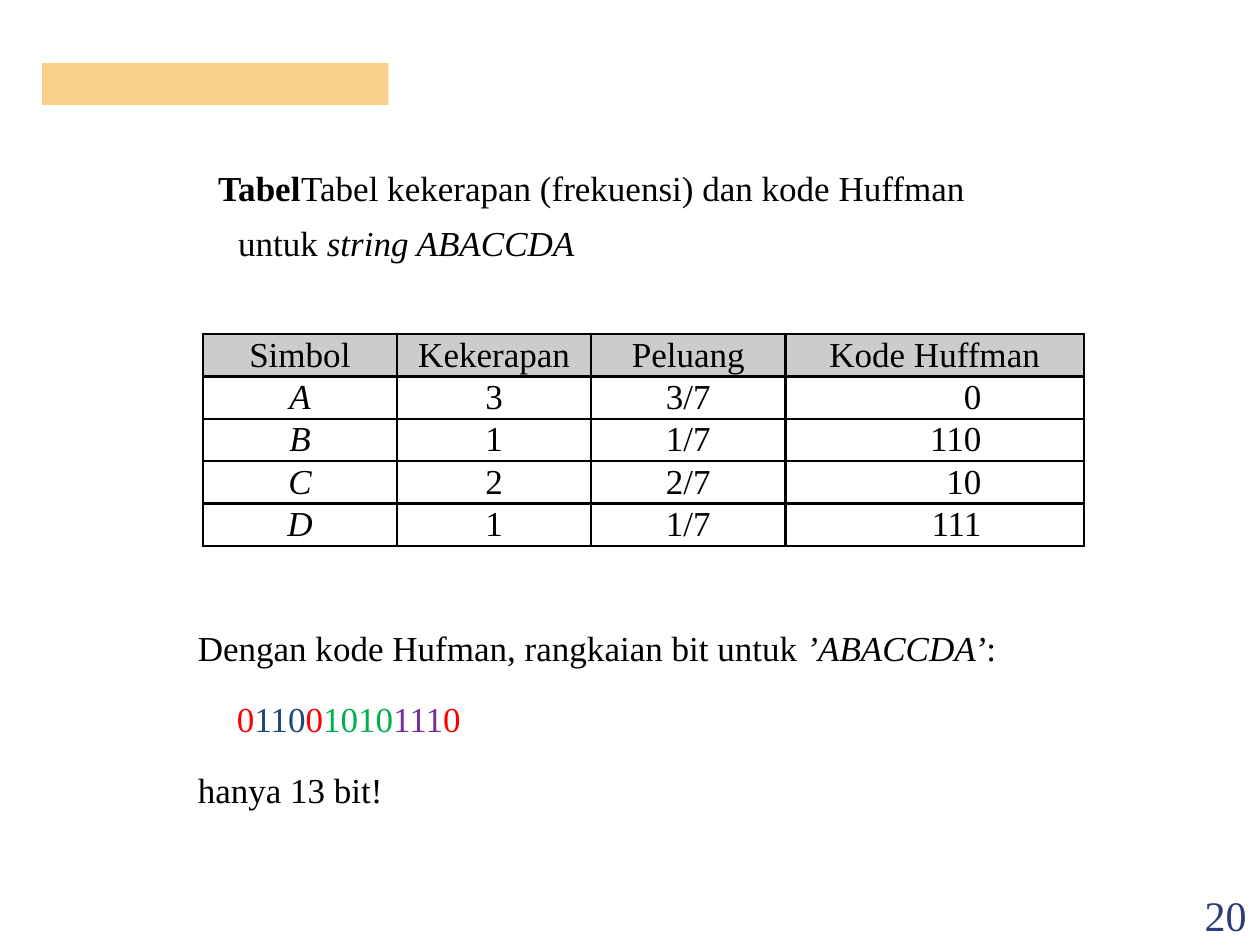
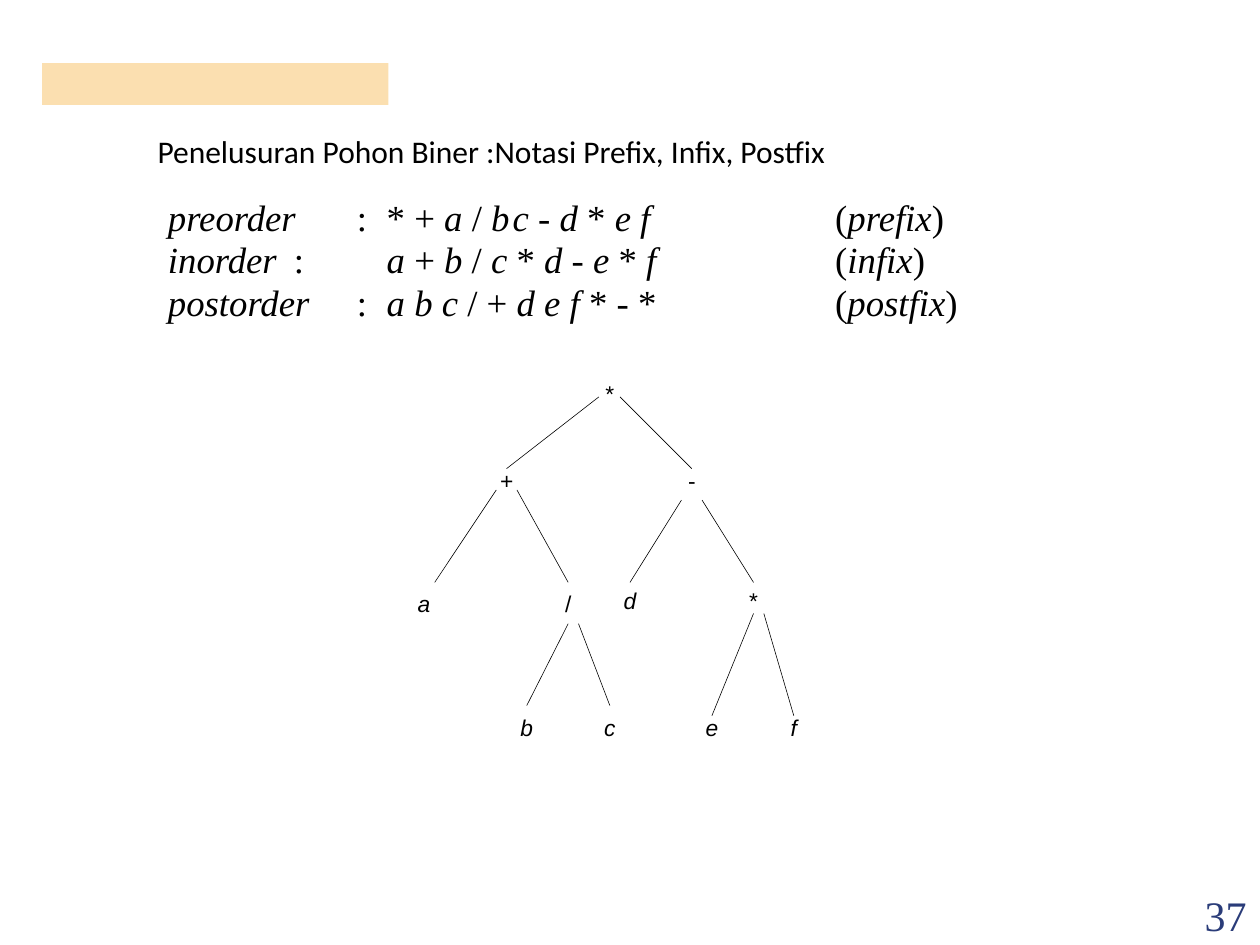
from pptx import Presentation
from pptx.dml.color import RGBColor
from pptx.enum.shapes import MSO_CONNECTOR, MSO_SHAPE
from pptx.enum.text import MSO_ANCHOR, MSO_AUTO_SIZE, PP_ALIGN
from pptx.oxml.ns import qn
from pptx.util import Pt
from lxml import etree

LEFT, MID, RIGHT = PP_ALIGN.LEFT, PP_ALIGN.CENTER, PP_ALIGN.RIGHT
TOP, FIXED = MSO_ANCHOR.TOP, MSO_AUTO_SIZE.NONE
RECT, LINE = MSO_SHAPE.RECTANGLE, MSO_CONNECTOR.STRAIGHT

BLACK = RGBColor(0x00, 0x00, 0x00)
GOLD = RGBColor(0xF9, 0xC1, 0x63)
NAVY = RGBColor(0x2A, 0x3C, 0x79)
GREY = RGBColor(0xCC, 0xCC, 0xCC)
RED = RGBColor(0xFF, 0x00, 0x00)
BLUE = RGBColor(0x1F, 0x49, 0x7D)
GREEN = RGBColor(0x00, 0xB0, 0x50)
PLUM = RGBColor(0x70, 0x30, 0xA0)

SERIF = {"name": "Times New Roman", "size": Pt(20)}
NOTE = {"name": "Times New Roman", "size": Pt(21)}
PAGE = {"name": "Times New Roman", "size": Pt(24)}
HEAD = {"name": "Calibri", "size": Pt(18)}
NODE = {"name": "Arial", "size": Pt(13)}

# Content: underscores switch italics on and off
CAPTION = [("Tabel\t", {"bold": True}),
           ("Tabel kekerapan (frekuensi) dan kode Huffman  untuk ", {}),
           ("string ABACCDA", {"italic": True})]
CODES = [("Simbol", "Kekerapan", "Peluang", "Kode Huffman"),
         ("_A_", "3", "3/7", "0"),
         ("_B_", "1", "1/7", "110"),
         ("_C_", "2", "2/7", "10"),
         ("_D_", "1", "1/7", "111")]
BITS = [("0", RED), ("110", BLUE), ("0", RED), ("1010", GREEN),
        ("111", PLUM), ("0", RED)]
# Each line: runs, indent, space before
RESULT = [("Dengan kode Hufman, rangkaian bit untuk _’ABACCDA’_:", 0.7, 0),
          ([(bit, {"color": hue}) for bit, hue in BITS], 23, 16.3),
          ("hanya 13 bit!", 0.7, 16.4)]

TITLE = "Penelusuran Pohon Biner :Notasi Prefix, Infix, Postfix"
ORDERS = [("_preorder_\t:", "* + _a_ / _b\tc_ - _d_ * _e f_", "(_prefix_)"),
          ("_inorder_\t:", "_a_ + _b_ / _c_ * _d_ - _e_ * _f_", "(_infix_)"),
          ("_postorder_\t:", "_a b c_ / + _d e f_ * - *", "(_postfix_)")]
# Tree signs: text, centre, top
SIGNS = [("*", 348.5, 215.3), ("+", 289.5, 265), ("-", 395.3, 265),
         ("_a_", 242.3, 335.5), ("/", 324.7, 335.5),
         ("_d_", 360, 333.4), ("*", 430.6, 333.4),
         ("_b_", 301, 406), ("_c_", 348.5, 406),
         ("_e_", 406.8, 406), ("_f_", 453.6, 406)]
# Forks: starts of both branches, their top, ends, their bottom
FORKS = [((342.2, 354.3), 226.8, (289.5, 395.3), 267.8),
         ((283.6, 295.4), 280, (248.4, 324.7), 332.8),
         ((389.4, 401.2), 285.8, (360, 430.6), 332.8),
         ((324.7, 330.6), 356.4, (301, 348.5), 403.2),
         ((430.6, 436.5), 350.6, (406.8, 453.6), 409)]


def pts(*vals):
    return [Pt(v) for v in vals]


def assign(obj, vals):
    for key, val in vals.items():
        setattr(obj, key, val)


def write(par, text, base, color=BLACK, tab=None, indent=0, hang=0, **form):
    """Fill a paragraph with runs; a plain string is split at underscores."""
    assign(par, form)
    props = par._p.get_or_add_pPr()
    props.set("marL", str(Pt(indent)))
    props.set("indent", str(Pt(hang)))
    if tab:
        tabs = etree.SubElement(props, qn("a:tabLst"))
        etree.SubElement(tabs, qn("a:tab"), pos=str(Pt(tab)), algn="l")
    if isinstance(text, str):
        text = [(part, {"italic": i % 2 == 1})
                for i, part in enumerate(text.split("_")) if part]
    for part, look in text:
        run = par.add_run()
        run.text = part
        look = {**base, **look}
        run.font.color.rgb = look.pop("color", color)
        assign(run.font, look)


def frame(shape, wrap=True, pad=(0, 0, 0, 0)):
    text = shape.text_frame
    names = ("margin_left", "margin_top", "margin_right", "margin_bottom")
    assign(text, dict(zip(names, pts(*pad)), word_wrap=wrap,
                      auto_size=FIXED, vertical_anchor=TOP))
    return text


def add_box(slide, box, wrap=True, pad=(0, 0, 0, 0)):
    return frame(slide.shapes.add_textbox(*pts(*box)), wrap, pad)


def set_title(slide, box, pad):
    shape = slide.shapes.title
    assign(shape, dict(zip(("left", "top", "width", "height"), pts(*box))))
    return frame(shape, pad=pad).paragraphs[0]


def start(deck, page, alpha):
    """Add a slide with the gold band and its page number."""
    slide = deck.slides.add_slide(deck.slide_layouts[5])
    band = slide.shapes.add_shape(RECT, *pts(24, 36, 198, 24))
    band.shadow.inherit = False
    band.line.fill.background()
    band.fill.solid()
    band.fill.fore_color.rgb = GOLD
    hue = band._element.spPr.find(".//" + qn("a:srgbClr"))
    etree.SubElement(hue, qn("a:alpha"), val=str(alpha * 1000))
    spot = add_box(slide, (685.5, 509.8, 30.2, 28.8), wrap=False)
    write(spot.paragraphs[0], page, PAGE, NAVY, indent=2.9,
          line_spacing=Pt(27.2))
    return slide


def add_grid(slide, spot, cols, high, rows):
    """Add a plain table and yield each cell with its place and text."""
    size = sum(cols), high * len(rows)
    grid = slide.shapes.add_table(len(rows), len(cols), *pts(*spot, *size)).table
    grid.first_row = grid.horz_banding = False
    for col, wide in zip(grid.columns, cols):
        col.width = Pt(wide)
    for r, row in enumerate(rows):
        grid.rows[r].height = Pt(high)
        for c, text in enumerate(row):
            cell = grid.cell(r, c)
            for side in ("left", "top", "right", "bottom"):
                setattr(cell, "margin_" + side, 0)
            yield cell, r, c, text


def edge(cell):
    props = cell._tc.get_or_add_tcPr()
    for side in ("lnL", "lnR", "lnT", "lnB"):
        line = etree.SubElement(props, qn("a:" + side), w=str(Pt(1.5)))
        fill = etree.SubElement(line, qn("a:solidFill"))
        etree.SubElement(fill, qn("a:srgbClr"), val=str(BLACK))


def code_slide(deck):
    slide = start(deck, "20", 75)
    par = set_title(slide, (123.1, 85.7, 442.8, 65.5), (0, 1.6, 0, 0))
    write(par, CAPTION, SERIF, tab=72, indent=13, hang=-11.5,
          alignment=LEFT, line_spacing=1.32)

    # Frequency table
    cols = (111, 111, 111, 170.5)
    for cell, r, c, text in add_grid(slide, (115.9, 191), cols, 24.2, CODES):
        edge(cell)
        code = r > 0 and c == 3
        if code:
            cell.margin_right = Pt(58.5)
        if r:
            cell.fill.background()
        else:
            cell.fill.solid()
            cell.fill.fore_color.rgb = GREY
        write(cell.text_frame.paragraphs[0], text, SERIF,
              alignment=RIGHT if code else MID, line_spacing=Pt(23.1))

    # Encoded string
    text = add_box(slide, (112.3, 356.4, 459.4, 106.6), pad=(0, 1.8, 0, 0))
    for i, (line, indent, gap) in enumerate(RESULT):
        par = text.add_paragraph() if i else text.paragraphs[0]
        write(par, line, SERIF, indent=indent, space_before=Pt(gap))


def tree_slide(deck):
    slide = start(deck, "37", 50)
    par = set_title(slide, (82.8, 72, 537, 29), (7.2, 3.6, 7.2, 3.6))
    write(par, TITLE, HEAD, alignment=LEFT)

    # Three notations
    cols = (122.4, 213.8, 121)
    pads, tabs = (2.4, 5, 47.5), (108.7, 86.4, None)
    for cell, r, c, text in add_grid(slide, (93.6, 113.8), cols, 24.2, ORDERS):
        cell.margin_left = Pt(pads[c])
        cell.fill.background()
        write(cell.text_frame.paragraphs[0], text, NOTE, tab=tabs[c],
              line_spacing=Pt(23))

    # Expression tree
    for text, mid, top in SIGNS:
        spot = add_box(slide, (mid - 5, top, 10, 18), False, (0, 1.7, 0, 0))
        write(spot.paragraphs[0], text, NODE, alignment=MID)
    for heads, top, ends, low in FORKS:
        for head, end in zip(heads, ends):
            twig = slide.shapes.add_connector(LINE, *pts(head, top, end, low))
            twig.line.color.rgb = BLACK
            twig.line.width = Pt(0.33)
            etree.SubElement(twig._element.spPr, qn("a:effectLst"))


def main():
    deck = Presentation()
    deck.slide_width, deck.slide_height = pts(720, 540)
    code_slide(deck)
    tree_slide(deck)
    deck.save("out.pptx")


if __name__ == "__main__":
    main()
